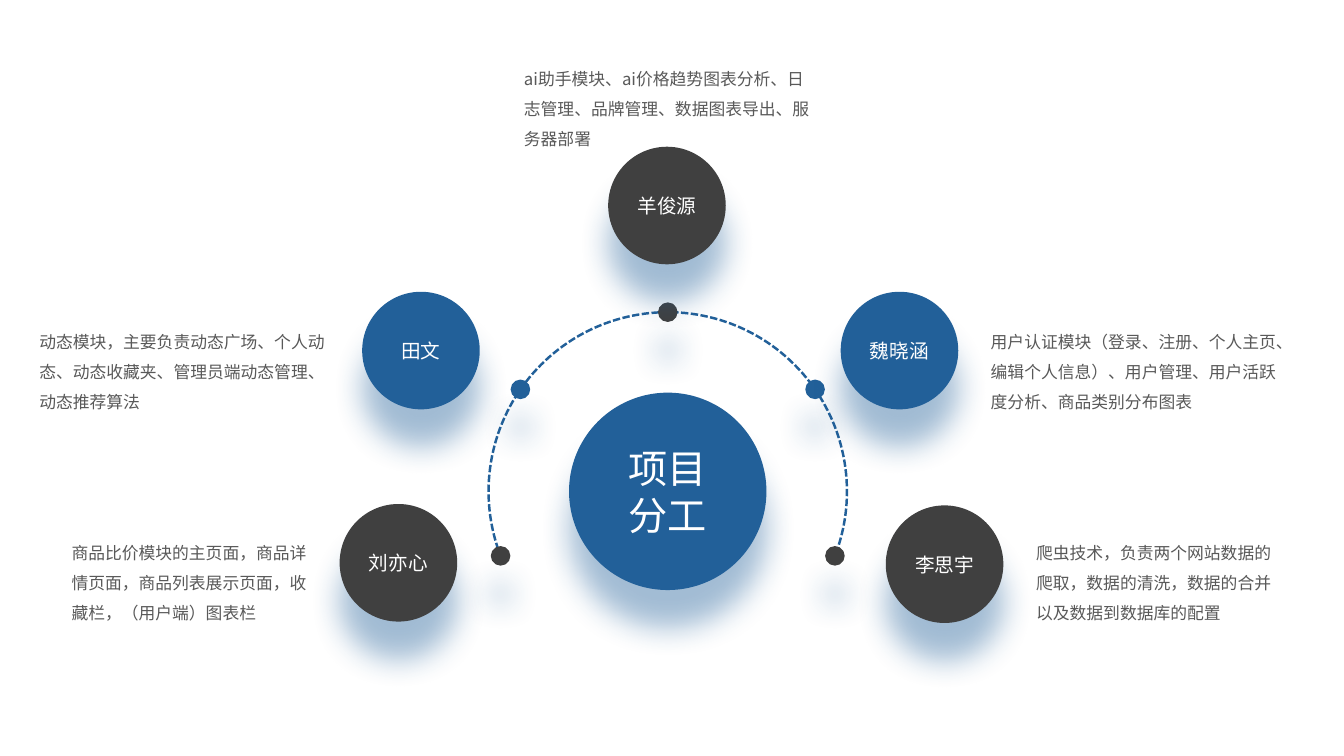
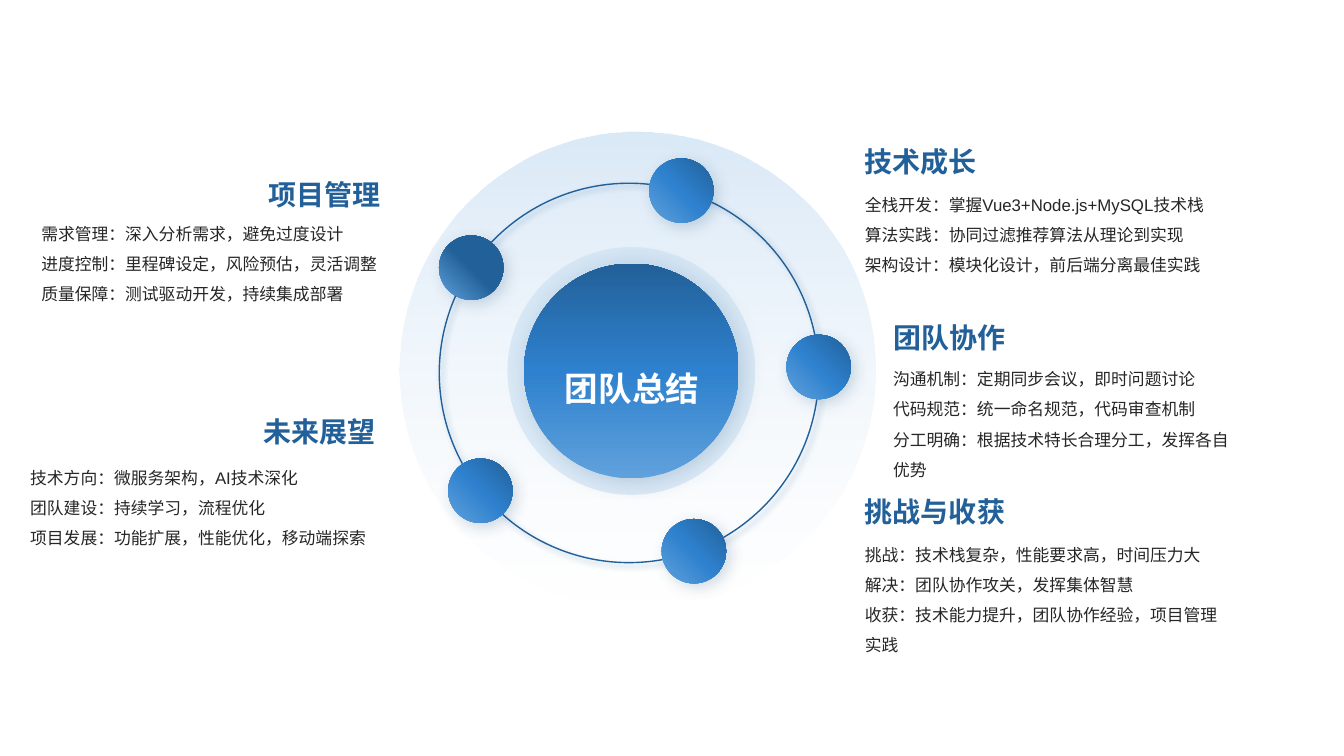
from dataclasses import dataclass
from math import cos, radians, sin

from lxml.etree import SubElement
from pptx import Presentation
from pptx.dml.color import RGBColor
from pptx.enum.dml import MSO_LINE
from pptx.enum.shapes import MSO_SHAPE
from pptx.enum.text import MSO_ANCHOR, MSO_AUTO_SIZE, PP_ALIGN
from pptx.oxml.ns import qn
from pptx.util import Pt


@dataclass(frozen=True)
class Theme:
    blue: str = "226099"
    bright: str = "2E81CE"
    light: str = "60A1DC"
    pale: str = "CAE0F3"
    mist: str = "95C0E8"
    navy: str = "194873"
    dark: str = "404040"
    grey: str = "595959"
    ink: str = "262626"
    white: str = "FFFFFF"
    cjk: str = "Noto Sans CJK SC"
    latin: str = "Arial"
    body: int = 12
    name: int = 14
    heading: int = 20
    summary: int = 24
    hub: int = 28


THEME = Theme()

LONG_SHADOW = (THEME.blue, 42, 22, 27, 90)
CORE_SHADOW = (THEME.navy, 20, 17, 3, 45)
NODE_SHADOW = (THEME.navy, 20, 11, 4, 45)
ORBIT_SHADOW = (THEME.blue, 40, 4, 3, 45)

BRIGHT_STOPS = [(0, THEME.light, 100), (50, THEME.bright, 100), (100, THEME.blue, 100)]
DEEP_STOPS = [(0, THEME.light, 100), (50, THEME.blue, 100), (100, THEME.blue, 100)]
HALO_STOPS = [(0, THEME.pale, 0), (100, THEME.mist, 35)]

HUB = (477, 351)
ARC_RADIUS = 128
ARC_ENDS = (157.8, 21.7)
MEMBERS = [
    ("刘亦心", THEME.dark, 158.9, (284.6, 402), (44, 376.6, 186.5),
     "商品比价模块的主页面，商品详情页面，商品列表展示页面，收藏栏，（用户端）图表栏"),
    ("田文", THEME.blue, 214.7, (300.7, 250.4), (21, 226, 219),
     "动态模块，主要负责动态广场、个人动态、动态收藏夹、管理员端动态管理、动态推荐算法"),
    ("羊俊源", THEME.dark, 270, (476.4, 146.8), (367.2, 38.2, 219),
     "ai助手模块、ai价格趋势图表分析、日志管理、品牌管理、数据图表导出、服务器部署"),
    ("魏晓涵", THEME.blue, 325.3, (642.5, 250.4), (700.6, 226, 219),
     "用户认证模块（登录、注册、个人主页、编辑个人信息）、用户管理、用户活跃度分析、商品类别分布图表"),
    ("李思宇", THEME.dark, 21.1, (674.7, 403), (733, 376.6, 186.5),
     "爬虫技术，负责两个网站数据的爬取，数据的清洗，数据的合并以及数据到数据库的配置"),
]

ORBIT = (449.3, 266.4)
ORBIT_RADIUS = 135.5
NODES = [(286, BRIGHT_STOPS), (141.6, BRIGHT_STOPS), (358.2, BRIGHT_STOPS),
         (70, BRIGHT_STOPS), (213.7, DEEP_STOPS)]
TOPICS = [
    ("技术成长", PP_ALIGN.LEFT, 617.8, 127.4, 617.8, 131.8, 263,
     ["全栈开发：掌握Vue3+Node.js+MySQL技术栈",
      "算法实践：协同过滤推荐算法从理论到实现",
      "架构设计：模块化设计，前后端分离最佳实践"]),
    ("团队协作", PP_ALIGN.LEFT, 637.9, 252.7, 637.9, 256.3, 243.4,
     ["沟通机制：定期同步会议，即时问题讨论",
      "代码规范：统一命名规范，代码审查机制",
      "分工明确：根据技术特长合理分工，发挥各自优势"]),
    ("挑战与收获", PP_ALIGN.LEFT, 617.8, 377.3, 617.8, 381.6, 263,
     ["挑战：技术栈复杂，性能要求高，时间压力大",
      "解决：团队协作攻关，发挥集体智慧",
      "收获：技术能力提升，团队协作经验，项目管理实践"]),
    ("项目管理", PP_ALIGN.RIGHT, 29.5, 150.5, 29.5, 152.6, 242.6,
     ["需求管理：深入分析需求，避免过度设计",
      "进度控制：里程碑设定，风险预估，灵活调整",
      "质量保障：测试驱动开发，持续集成部署"]),
    ("未来展望", PP_ALIGN.RIGHT, 25.9, 320.4, 21.6, 326.9, 242.6,
     ["技术方向：微服务架构，AI技术深化",
      "团队建设：持续学习，流程优化",
      "项目发展：功能扩展，性能优化，移动端探索"]),
]


def add_color(parent, color, opacity):
    element = SubElement(parent, qn("a:srgbClr"), val=color)
    if opacity < 100:
        SubElement(element, qn("a:alpha"), val=str(opacity * 1000))


def add_shadow(shape, color, opacity, blur, distance, angle):
    effects = shape._element.spPr.find(qn("a:effectLst"))
    shadow = SubElement(effects, qn("a:outerShdw"), blurRad=str(Pt(blur)),
                        dist=str(Pt(distance)), dir=str(angle * 60000),
                        algn="ctr", rotWithShape="0")
    add_color(shadow, color, opacity)


def fill_gradient(shape, stops, angle):
    shape.fill.gradient()
    gradient = shape._element.spPr.find(qn("a:gradFill"))
    gradient.clear()
    stop_list = SubElement(gradient, qn("a:gsLst"))
    for position, color, opacity in stops:
        stop = SubElement(stop_list, qn("a:gs"), pos=str(position * 1000))
        add_color(stop, color, opacity)
    SubElement(gradient, qn("a:lin"), ang=str(angle * 60000), scaled="0")


def add_round(page, center, diameter, shadow=None, color=None, kind=MSO_SHAPE.OVAL):
    left, top = (value - diameter / 2 for value in center)
    shape = page.shapes.add_shape(kind, Pt(left), Pt(top), Pt(diameter), Pt(diameter))
    shape.shadow.inherit = False
    shape.line.fill.background()
    if color:
        shape.fill.solid()
        shape.fill.fore_color.rgb = RGBColor.from_string(color)
    else:
        shape.fill.background()
    if shadow:
        add_shadow(shape, *shadow)
    return shape


def draw_outline(shape, width):
    shape.line.color.rgb = RGBColor.from_string(THEME.blue)
    shape.line.width = Pt(width)


def write(shape, lines, size, color, font, align=PP_ALIGN.LEFT, bold=False,
          spacing=None, anchor=MSO_ANCHOR.TOP, margin=0, wrap=True):
    frame = shape.text_frame
    frame.auto_size = MSO_AUTO_SIZE.NONE
    frame.word_wrap = wrap
    frame.vertical_anchor = anchor
    if margin is not None:
        frame.margin_left = frame.margin_right = Pt(margin)
        frame.margin_top = frame.margin_bottom = Pt(margin)
    frame.text = "\n".join(lines)
    for paragraph in frame.paragraphs:
        paragraph.alignment = align
        if spacing:
            paragraph.line_spacing = spacing
        paragraph.font.size = Pt(size)
        paragraph.font.bold = bold
        paragraph.font.color.rgb = RGBColor.from_string(color)
        paragraph.font.name = font
        SubElement(paragraph.font._element, qn("a:ea"), typeface=THEME.cjk)


def add_text(page, left, top, width, height, lines, *style, **options):
    box = page.shapes.add_textbox(Pt(left), Pt(top), Pt(width), Pt(height))
    write(box, lines, *style, **options)


def place_title(page, left, top, width, height, lines, *style, **options):
    title = page.shapes.title
    title.left, title.top, title.width, title.height = map(Pt, (left, top, width, height))
    write(title, lines, *style, align=PP_ALIGN.CENTER, **options)
    page.shapes._spTree.append(title._element)


def on_circle(center, radius, degrees):
    angle = radians(degrees)
    return center[0] + radius * cos(angle), center[1] + radius * sin(angle)


def build_division(page):
    arc = add_round(page, HUB, 2 * ARC_RADIUS, kind=MSO_SHAPE.ARC)
    for index, degrees in enumerate(ARC_ENDS):
        arc.adjustments[index] = degrees * 0.6
    draw_outline(arc, 1.75)
    arc.line.dash_style = MSO_LINE.SQUARE_DOT

    add_round(page, HUB, 141, LONG_SHADOW, THEME.blue)
    for name, color, degrees, center, (left, top, width), duty in MEMBERS:
        add_round(page, on_circle(HUB, ARC_RADIUS, degrees), 14, LONG_SHADOW, color)
        circle = add_round(page, center, 84, LONG_SHADOW, color)
        write(circle, [name], THEME.name, THEME.white, THEME.cjk,
              align=PP_ALIGN.CENTER, anchor=MSO_ANCHOR.MIDDLE, wrap=False)
        add_text(page, left, top, width, 70, [duty], THEME.body, THEME.grey,
                 THEME.cjk, spacing=1.5, margin=None)
    place_title(page, HUB[0] - 50, HUB[1] - 50, 100, 100, ["项目", "分工"],
                THEME.hub, THEME.white, THEME.cjk, anchor=MSO_ANCHOR.MIDDLE)


def build_summary(page):
    fill_gradient(add_round(page, (455.4, 264.6), 340.6), HALO_STOPS, 270)
    fill_gradient(add_round(page, (451, 265), 177),
                  [(0, THEME.pale, 60), (100, THEME.pale, 60)], 270)
    fill_gradient(add_round(page, (451, 265), 153.4, CORE_SHADOW), BRIGHT_STOPS, 270)
    draw_outline(add_round(page, ORBIT, 2 * ORBIT_RADIUS, ORBIT_SHADOW), 1)
    for degrees, stops in NODES:
        node = add_round(page, on_circle(ORBIT, ORBIT_RADIUS, degrees), 46, NODE_SHADOW)
        fill_gradient(node, stops, 315)

    for heading, align, heading_left, bottom, left, top, width, lines in TOPICS:
        add_text(page, heading_left, bottom - 46, width, 46, [heading], THEME.heading,
                 THEME.blue, THEME.latin, align=align, bold=True,
                 anchor=MSO_ANCHOR.BOTTOM)
        add_text(page, left, top, width, 72, lines, THEME.body, THEME.ink,
                 THEME.latin, spacing=1.5)
    place_title(page, 389.5, 262.8, 124, 46, ["团队总结"], THEME.summary,
                THEME.white, THEME.latin, bold=True)


def main():
    deck = Presentation()
    deck.slide_width, deck.slide_height = Pt(960), Pt(540)
    for build in (build_division, build_summary):
        build(deck.slides.add_slide(deck.slide_layouts[5]))
    deck.save("out.pptx")


if __name__ == "__main__":
    main()
